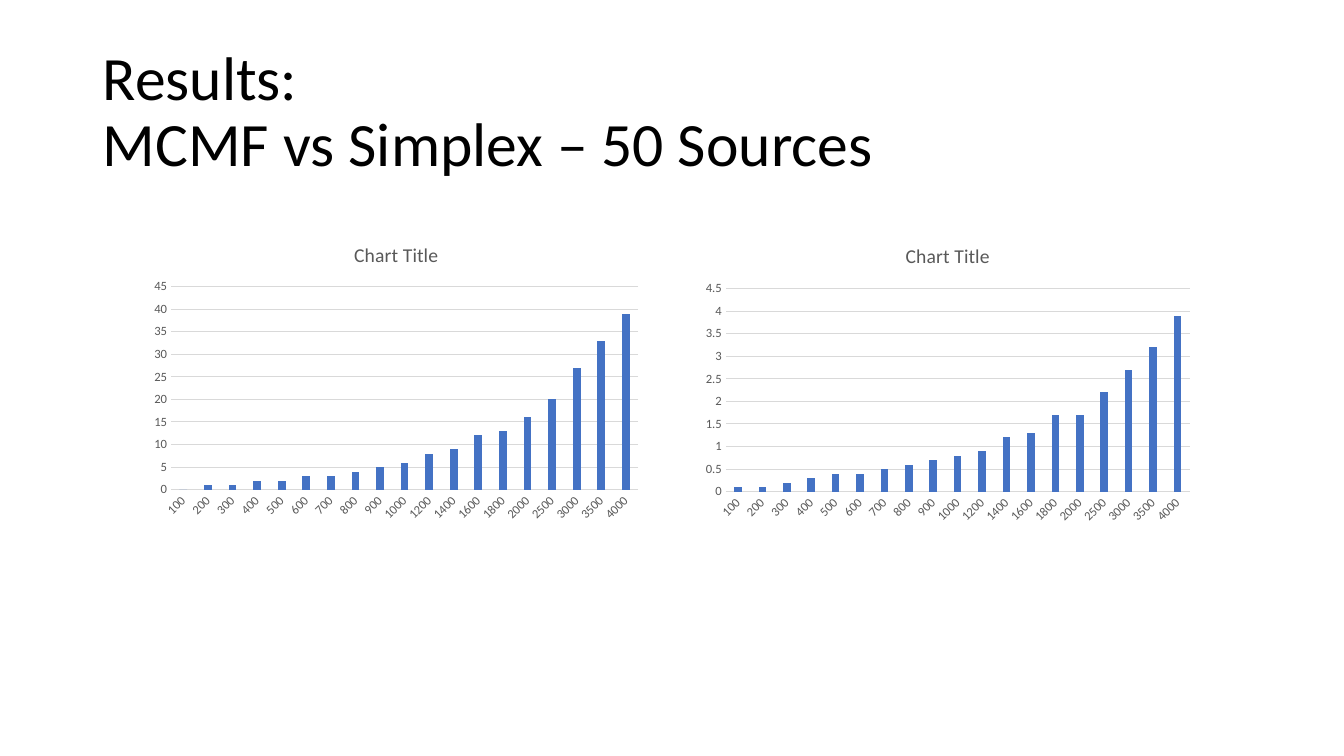
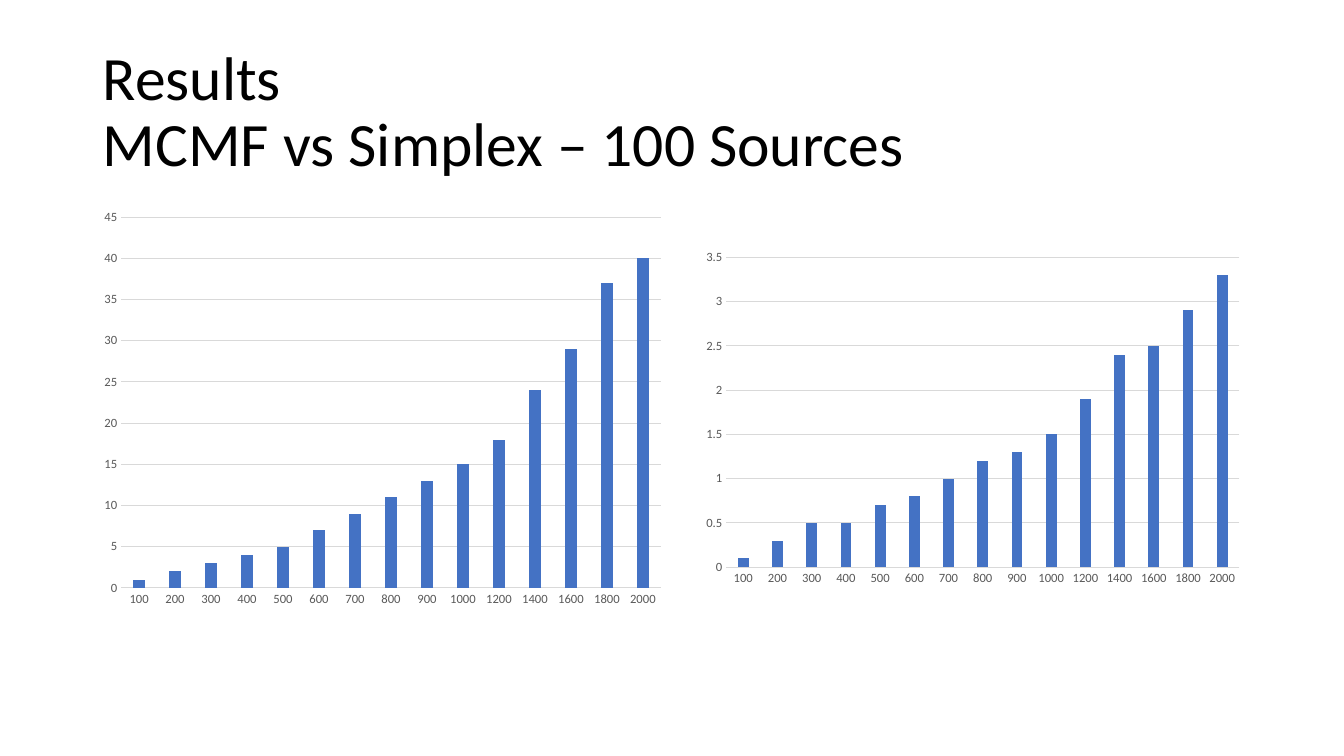
"""Build two result slides comparing MCMF and Simplex with column charts."""
import lxml.etree
import pptx
import pptx.chart.data
import pptx.dml.color
import pptx.enum.chart
import pptx.enum.text
import pptx.oxml.ns
import pptx.util

Inches = pptx.util.Inches
Pt = pptx.util.Pt
qn = pptx.oxml.ns.qn

COLORS = {"title": "000000", "chart": "000000", "label": "595959",
          "rule": "D9D9D9", "column": "4472C4"}
FONTS = {
    "title": {"name": "Calibri", "size": Pt(44)},
    "chart": {"name": "Calibri", "size": Pt(10)},
    "chart_title": {"name": "Calibri", "size": Pt(14), "bold": False},
    "label": {"name": "Calibri", "size": Pt(9)},
}
TITLE_BOX = (0.92, 0.4, 11.5, 1.45)
TITLE_FRAME = {"word_wrap": True, "vertical_anchor": pptx.enum.text.MSO_ANCHOR.MIDDLE}
COLUMN_SPACING = {"gap_width": 219, "overlap": -27, "vary_by_categories": False}
NO_TICKS = {"major_tick_mark": pptx.enum.chart.XL_TICK_MARK.NONE,
            "minor_tick_mark": pptx.enum.chart.XL_TICK_MARK.NONE}

SIZES_TO_2000 = [*range(100, 1001, 100), *range(1200, 2001, 200)]
SIZES_TO_4000 = [*SIZES_TO_2000, *range(2500, 4001, 500)]

SLIDES = [
    {"title": ("Results:", "MCMF vs Simplex – 50 Sources"),
     "sizes": SIZES_TO_4000, "chart_title": "Chart Title", "label_degrees": -45,
     "charts": [
         {"box": (1.43, 2.24, 5, 3), "top": 45, "step": 5,
          "values": [0, 1, 1, 2, 2, 3, 3, 4, 5, 6, 8, 9, 12, 13, 16, 20, 27, 33, 39]},
         {"box": (6.9, 2.26, 5, 3), "top": 4.5, "step": 0.5,
          "values": [0.1, 0.1, 0.2, 0.3, 0.4, 0.4, 0.5, 0.6, 0.7, 0.8, 0.9, 1.2,
                     1.3, 1.7, 1.7, 2.2, 2.7, 3.2, 3.9]},
     ]},
    {"title": ("Results", "MCMF vs Simplex – 100 Sources"),
     "sizes": SIZES_TO_2000, "chart_title": None, "label_degrees": 0,
     "charts": [
         {"box": (6.56, 2.43, 5.85, 4.1), "top": 3.5, "step": 0.5,
          "plot": {"x": 0.11, "y": 0.03, "w": 0.87, "h": 0.75},
          "values": [0.1, 0.3, 0.5, 0.5, 0.7, 0.8, 1, 1.2, 1.3, 1.5, 1.9, 2.4,
                     2.5, 2.9, 3.3]},
         {"box": (0.92, 2, 5.75, 4.1), "top": 45, "step": 5,
          "values": [1, 2, 3, 4, 5, 7, 9, 11, 13, 15, 18, 24, 29, 37, 40]},
     ]},
]


def apply(target, values):
    for name, value in values.items():
        setattr(target, name, value)


def rgb(color):
    return pptx.dml.color.RGBColor.from_string(COLORS[color])


def style_font(font, style, color):
    apply(font, FONTS[style])
    font.color.rgb = rgb(color)


def style_rule(line):
    line.width = Pt(0.75)
    line.color.rgb = rgb("rule")


def add_title(slide, lines):
    frame = slide.shapes.add_textbox(*map(Inches, TITLE_BOX)).text_frame
    apply(frame, TITLE_FRAME)
    paragraph = frame.paragraphs[0]
    paragraph.line_spacing = 0.9
    for index, line in enumerate(lines):
        if index:
            paragraph.add_line_break()
        run = paragraph.add_run()
        run.text = line
        style_font(run.font, "title", "title")


def place_plot(chart, plot):
    area = chart._chartSpace.find(".//" + qn("c:plotArea"))
    for layout in area.findall(qn("c:layout")):
        area.remove(layout)
    layout = lxml.etree.Element(qn("c:layout"))
    area.insert(0, layout)
    manual = lxml.etree.SubElement(layout, qn("c:manualLayout"))
    settings = {"layoutTarget": "inner", "xMode": "edge", "yMode": "edge", **plot}
    for name, value in settings.items():
        lxml.etree.SubElement(manual, qn("c:" + name)).set("val", str(value))


def style_axes(chart, top, step, label_degrees):
    category_axis, value_axis = chart.category_axis, chart.value_axis
    for axis in (category_axis, value_axis):
        apply(axis, NO_TICKS)
        style_font(axis.tick_labels.font, "label", "label")
    style_rule(category_axis.format.line)
    body = category_axis._element.find(qn("c:txPr")).find(qn("a:bodyPr"))
    body.set("rot", str(label_degrees * 60000))
    body.set("vert", "horz")
    apply(value_axis, {"minimum_scale": 0, "maximum_scale": top, "major_unit": step,
                       "has_major_gridlines": True})
    value_axis.format.line.fill.background()
    style_rule(value_axis.major_gridlines.format.line)


def add_column_chart(slide, content, item):
    data = pptx.chart.data.CategoryChartData()
    data.categories = [str(size) for size in content["sizes"]]
    data.add_series("Series 1", item["values"])
    chart = slide.shapes.add_chart(
        pptx.enum.chart.XL_CHART_TYPE.COLUMN_CLUSTERED,
        *map(Inches, item["box"]), data).chart
    style_font(chart.font, "chart", "chart")
    apply(chart, {"has_legend": False, "has_title": bool(content["chart_title"])})
    if content["chart_title"]:
        frame = chart.chart_title.text_frame
        frame.text = content["chart_title"]
        style_font(frame.paragraphs[0].runs[0].font, "chart_title", "label")
    plot = chart.plots[0]
    apply(plot, COLUMN_SPACING)
    fill = plot.series[0].format.fill
    fill.solid()
    fill.fore_color.rgb = rgb("column")
    style_axes(chart, item["top"], item["step"], content["label_degrees"])
    if "plot" in item:
        place_plot(chart, item["plot"])


def main():
    presentation = pptx.Presentation()
    apply(presentation, {"slide_width": Inches(13.33), "slide_height": Inches(7.5)})
    for content in SLIDES:
        slide = presentation.slides.add_slide(presentation.slide_layouts[6])
        add_title(slide, content["title"])
        for item in content["charts"]:
            add_column_chart(slide, content, item)
    presentation.save("out.pptx")


if __name__ == "__main__":
    main()
